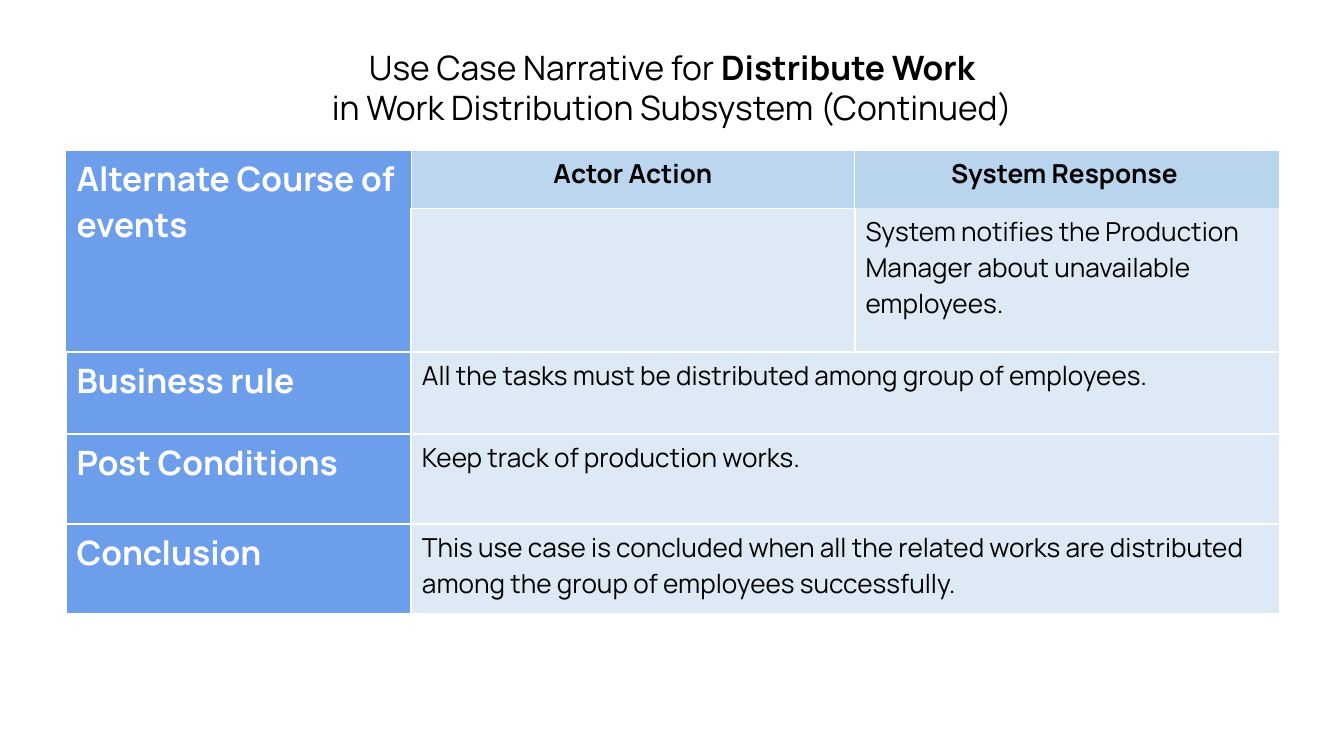
from lxml.etree import SubElement
from pptx import Presentation
from pptx.dml.color import RGBColor
from pptx.enum.text import MSO_ANCHOR, MSO_AUTO_SIZE, PP_ALIGN
from pptx.oxml.ns import qn
from pptx.util import Inches, Pt

FONT = "Manrope"
BLACK, WHITE = "000000", "FFFFFF"
LABEL_FILL, BODY_FILL = "6D9EEB", "DDEAF6"
ACTOR_FILL, SYSTEM_FILL = "BBD6EE", "B9D4ED"
COLS = [2.57, 3.3, 3.16]
ROWS = [0.43, 1.07, 0.61, 0.67, 0.67]
DETAILS = [
    ("Business rule", "All the tasks must be distributed among group of employees."),
    ("Post Conditions", "Keep track of production works."),
    ("Conclusion", "This use case is concluded when all the related works are "
                   "distributed among the group of employees successfully."),
]


def rgb(color):
    return RGBColor.from_string(color)


def add_text(p, text, size=14, color=BLACK, bold=False, align=PP_ALIGN.LEFT):
    p.alignment = align
    r = p.add_run()
    r.text = text
    r.font.name = FONT
    r.font.size = Pt(size)
    r.font.bold = bold
    r.font.color.rgb = rgb(color)


def set_borders(cell, sides, width):
    tc_pr = cell._tc.get_or_add_tcPr()
    for side in "LRTB":
        ln = SubElement(tc_pr, qn(f"a:ln{side}"), w=str(Pt(width)))
        if side in sides:
            fill = SubElement(ln, qn("a:solidFill"))
            SubElement(fill, qn("a:srgbClr"), val=WHITE)
        else:
            SubElement(ln, qn("a:noFill"))


def style_cell(cell, fill, sides="LRTB", width=1):
    cell.margin_left = cell.margin_right = Inches(0.08)
    cell.margin_top = cell.margin_bottom = Inches(0.04)
    set_borders(cell, sides, width)
    cell.fill.solid()
    cell.fill.fore_color.rgb = rgb(fill)


def add_title(s, left, top, width, height):
    sp = s.shapes.title
    sp.left, sp.top, sp.width, sp.height = map(Inches, (left, top, width, height))
    tf = sp.text_frame
    tf.word_wrap = True
    tf.auto_size = MSO_AUTO_SIZE.NONE
    tf.vertical_anchor = MSO_ANCHOR.TOP
    tf.margin_left = tf.margin_right = Inches(0.07)
    tf.margin_top, tf.margin_bottom = Inches(0.06), 0
    lines = [
        [("Use Case Narrative for ", False), ("Distribute Work", True)],
        [("in Work Distribution Subsystem (Continued)", False)],
    ]
    for i, line in enumerate(lines):
        p = tf.add_paragraph() if i else tf.paragraphs[0]
        p.line_spacing = Pt(21.4)
        p.space_before = Pt(0)
        for text, bold in line:
            add_text(p, text, size=18, bold=bold, align=PP_ALIGN.CENTER)


def add_narrative(s, left, top):
    frame = s.shapes.add_table(
        len(ROWS), len(COLS), Inches(left), Inches(top),
        Inches(sum(COLS)), Inches(sum(ROWS)))
    table = frame.table
    table.first_row = table.horz_banding = False
    for col, width in zip(table.columns, COLS):
        col.width = Inches(width)
    for row, height in zip(table.rows, ROWS):
        row.height = Inches(height)

    special = {
        (0, 0): (LABEL_FILL, "LRTB", 0.75),
        (0, 1): (ACTOR_FILL, "LRTB", 0.75),
        (0, 2): (SYSTEM_FILL, "L", 0.75),
        (1, 2): (BODY_FILL, "LRB", 1),
    }
    for i in range(len(ROWS)):
        for j in range(len(COLS)):
            default = (BODY_FILL if j else LABEL_FILL, "LRTB", 1)
            style_cell(table.cell(i, j), *special.get((i, j), default))

    def write(i, j, text, **fmt):
        add_text(table.cell(i, j).text_frame.paragraphs[0], text, **fmt)

    label = dict(size=18, color=WHITE, bold=True)
    table.cell(0, 0).merge(table.cell(1, 0))
    write(0, 0, "Alternate Course of events", **label)
    for j, text in enumerate(["Actor Action", "System Response "], 1):
        write(0, j, text, bold=True, align=PP_ALIGN.CENTER)
    write(1, 2, "System notifies the Production Manager about unavailable employees.")
    for i, (name, detail) in enumerate(DETAILS, 2):
        table.cell(i, 1).merge(table.cell(i, 2))
        write(i, 0, name, **label)
        write(i, 1, detail)


def main():
    prs = Presentation()
    prs.slide_width = Inches(10)
    prs.slide_height = prs.slide_width * 9 // 16
    s = prs.slides.add_slide(prs.slide_layouts[5])
    s.background.fill.solid()
    s.background.fill.fore_color.rgb = rgb(WHITE)
    add_title(s, 0.82, 0.29, 8.36, 0.63)
    add_narrative(s, 0.49, 1.12)
    prs.save("out.pptx")


if __name__ == "__main__":
    main()
